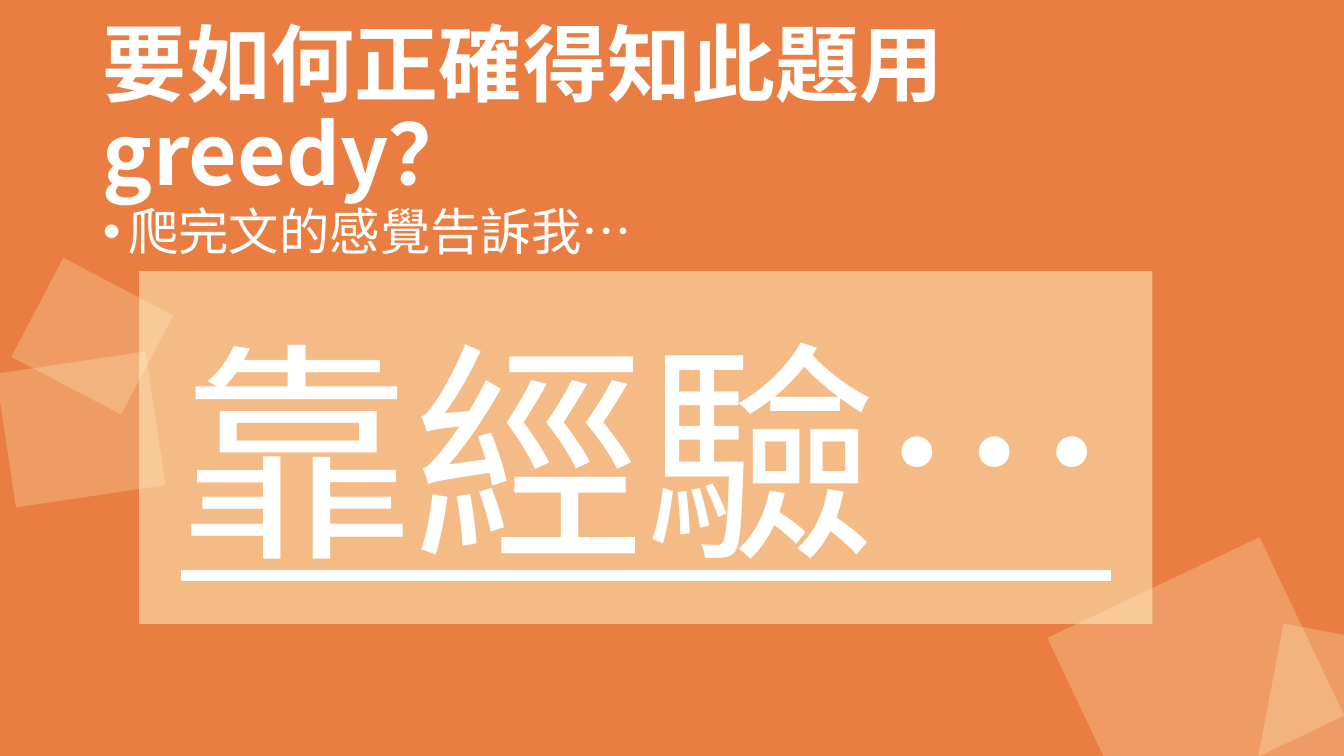
from pptx import Presentation
from pptx.dml.color import RGBColor
from pptx.enum.shapes import MSO_SHAPE as Shape
from pptx.enum.text import MSO_ANCHOR as Anchor, MSO_AUTO_SIZE as AutoSize, PP_ALIGN as Align
from pptx.oxml.ns import qn
from pptx.util import Inches, Pt
from lxml.etree import SubElement

ORANGE = RGBColor(0xEA, 0x7E, 0x42)
CREAM = RGBColor(0xFF, 0xF9, 0xCD)
WHITE = RGBColor(0xFF, 0xFF, 0xFF)
FONT = "Noto Sans CJK SC"

TITLE = "要如何正確得知此題用greedy？"
REMARK = "爬完文的感覺告訴我…"
ANSWER = "靠經驗…"

TITLE_BOX = (0.92, 0.4, 11.5, 1.45)
REMARK_BOX = (0.92, 2, 6.88, 4.76)
ANSWER_BOX = (1.38, 2.69, 10.05, 3.5)
TILES = [
    ((0.05, 3.59, 1.5, 1.34), 171.5),
    ((0.3, 2.78, 1.23, 1.11), 207.7),
    ((10.88, 5.55, 1.96, 2.33), 64.6),
    ((12.64, 6.26, 1.41, 1.52), 100.8),
]


def place(shape, box):
    """Move and size a shape from lengths in inches."""
    shape.left, shape.top, shape.width, shape.height = map(Inches, box)


def write(shape, text, size, bold=False, underline=False, align=Align.LEFT,
          anchor=Anchor.MIDDLE, spacing=1.0, before=0, bullet=None):
    """Put one formatted paragraph in a shape."""
    frame = shape.text_frame
    frame.word_wrap = True
    frame.auto_size = AutoSize.NONE
    frame.vertical_anchor = anchor
    para = frame.paragraphs[0]
    para.alignment = align
    para.line_spacing = spacing
    para.space_before = Pt(before)
    if bullet:
        props = para._p.get_or_add_pPr()
        props.set("marL", str(Inches(0.25)))
        props.set("indent", str(-Inches(0.25)))
        SubElement(props, qn("a:buChar")).set("char", bullet)
    span = para.add_run()
    span.text = text
    font = span.font
    font.size, font.bold, font.underline = Pt(size), bold, underline
    font.color.rgb = WHITE
    font.name = FONT
    SubElement(font._element, qn("a:ea")).set("typeface", FONT)


def add_tile(page, box, opacity, turn=0):
    """Add a translucent cream rectangle."""
    tile = page.shapes.add_shape(Shape.RECTANGLE, *map(Inches, box))
    tile.rotation = turn
    tile.shadow.inherit = False
    tile.line.fill.background()
    tile.fill.solid()
    tile.fill.fore_color.rgb = CREAM
    colour = tile.fill._xPr.find(".//" + qn("a:srgbClr"))
    SubElement(colour, qn("a:alpha")).set("val", str(opacity * 1000))
    return tile


def main():
    """Build the slide and save it."""
    deck = Presentation()
    deck.slide_width, deck.slide_height = Inches(13.33), Inches(7.5)
    page = deck.slides.add_slide(deck.slide_layouts[1])
    page.background.fill.solid()
    page.background.fill.fore_color.rgb = ORANGE

    title, remark = page.shapes.title, page.placeholders[1]
    place(title, TITLE_BOX)
    write(title, TITLE, 60, bold=True, spacing=0.9)
    place(remark, REMARK_BOX)
    write(remark, REMARK, 36, anchor=Anchor.TOP, spacing=0.9, before=10, bullet="•")

    for box, turn in TILES:
        add_tile(page, box, 25, turn)
    answer = add_tile(page, ANSWER_BOX, 50)
    write(answer, ANSWER, 166, underline=True, align=Align.CENTER)

    deck.save("out.pptx")


if __name__ == "__main__":
    main()
